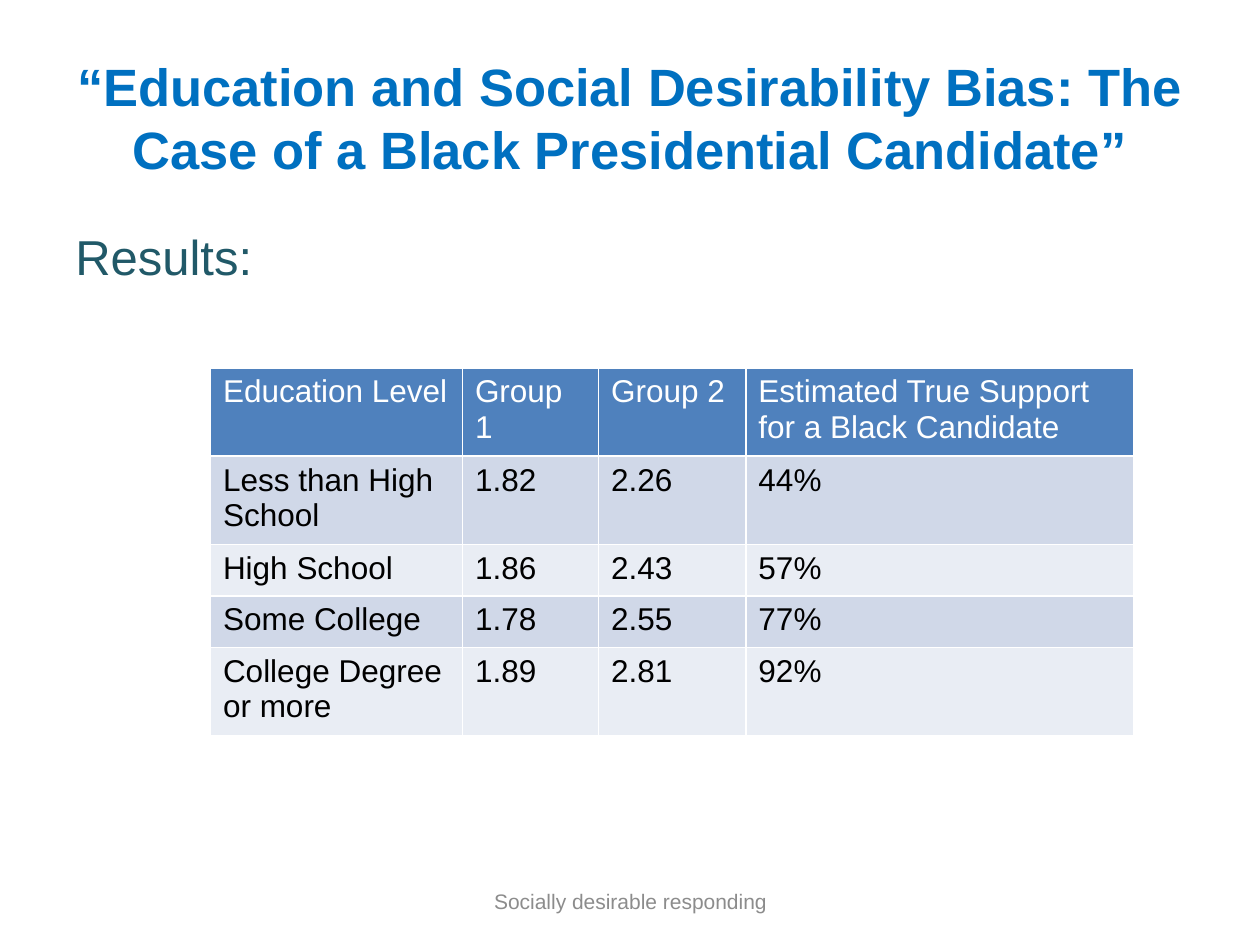
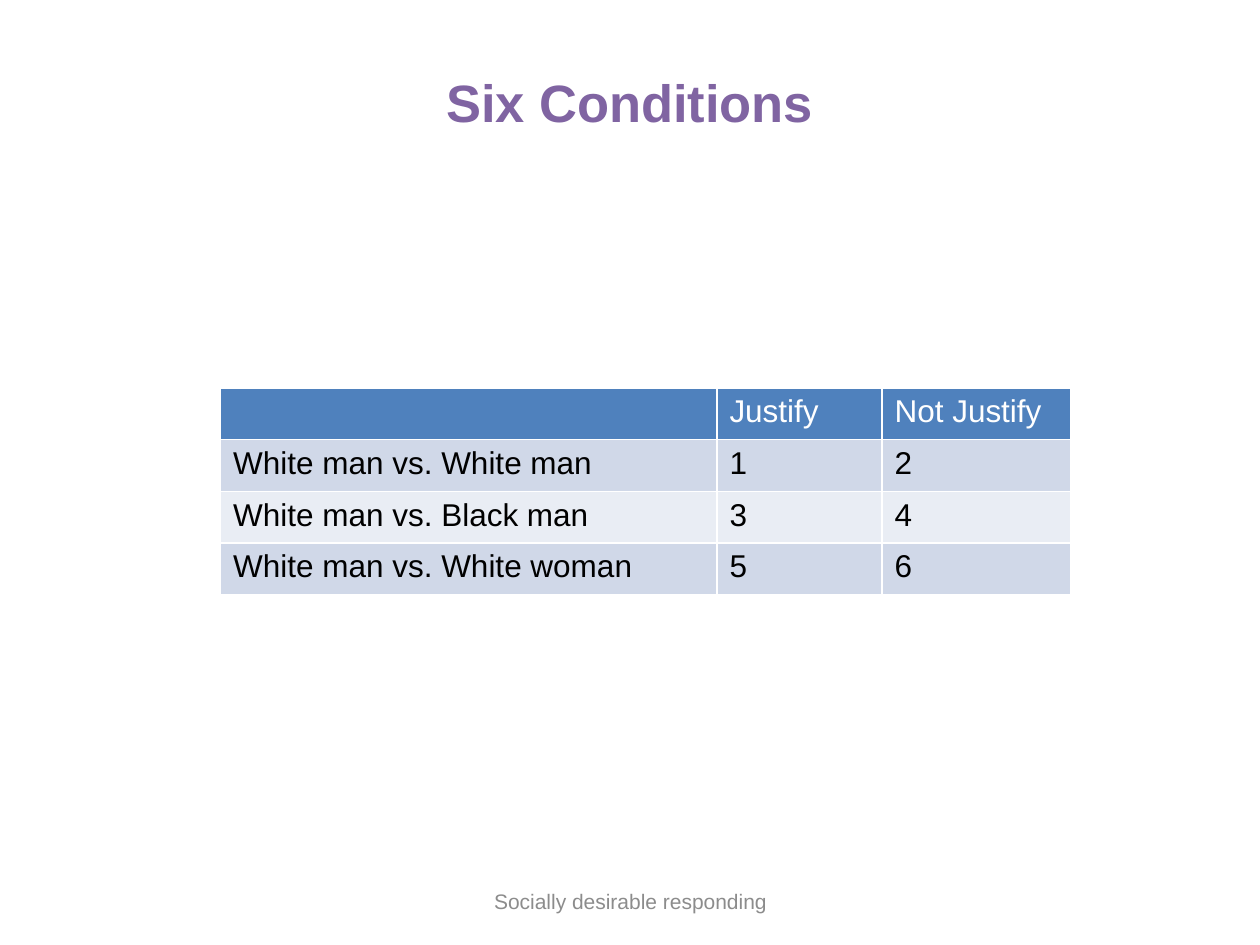
import pptx
import pptx.dml.color
import pptx.enum.text
import pptx.oxml
import pptx.oxml.ns
import pptx.util
from pptx.util import Inches

FONT = "Arial"
FOOTER = "Socially desirable responding"
COLOURS = {
    "blue": "0070C0", "purple": "8064A2", "teal": "215968", "grey": "8C8C8C",
    "header": "4F81BD", "band": "D0D8E8", "light band": "E9EDF4",
    "white": "FFFFFF", "black": "000000",
}
ONE_LINE, TWO_LINES = 0.41, 0.66

SUPPORT_ROWS = [
    ["Education Level", "Group 1", "Group 2",
     "Estimated True Support for a Black Candidate"],
    ["Less than High School", "1.82", "2.26", "44%"],
    ["High School", "1.86", "2.43", "57%"],
    ["Some College", "1.78", "2.55", "77%"],
    ["College Degree or more", "1.89", "2.81", "92%"],
]
CONDITION_ROWS = [
    ["", "Justify", "Not Justify"],
    ["White man vs. White man", "1", "2"],
    ["White man vs. Black man", "3", "4"],
    ["White man vs. White woman", "5", "6"],
]


def rgb(name):
    return pptx.dml.color.RGBColor.from_string(COLOURS[name])


def add_run(paragraph, text, size, colour, bold=False):
    run = paragraph.add_run()
    run.text = text
    run.font.name = FONT
    run.font.size = pptx.util.Pt(size)
    run.font.bold = bold
    run.font.color.rgb = rgb(colour)


def centre_text(text_frame):
    text_frame.vertical_anchor = pptx.enum.text.MSO_ANCHOR.MIDDLE
    text_frame.paragraphs[0].alignment = pptx.enum.text.PP_ALIGN.CENTER


def add_text_box(slide, left, top, width, height, text, size, colour):
    box = slide.shapes.add_textbox(
        Inches(left), Inches(top), Inches(width), Inches(height))
    box.text_frame.word_wrap = True
    add_run(box.text_frame.paragraphs[0], text, size, colour)
    return box.text_frame


def add_titled_slide(presentation, title, colour, top):
    """Add a slide with its title and the shared footer."""
    slide = presentation.slides.add_slide(presentation.slide_layouts[5])
    shape = slide.shapes.title
    shape.left, shape.top = Inches(0.5), Inches(top)
    shape.width, shape.height = Inches(9), Inches(1.25)
    shape.text_frame.auto_size = pptx.enum.text.MSO_AUTO_SIZE.NONE
    add_run(shape.text_frame.paragraphs[0], title, 30, colour, bold=True)
    centre_text(shape.text_frame)
    centre_text(add_text_box(slide, 3.42, 6.95, 3.17, 0.4, FOOTER, 12, "grey"))
    return slide


def add_cell_borders(cell):
    properties = cell._tc.get_or_add_tcPr()
    for side in ("lnL", "lnR", "lnT", "lnB"):
        properties.append(pptx.oxml.parse_xml(
            f'<a:{side} {pptx.oxml.ns.nsdecls("a")} w="12700"><a:solidFill>'
            f'<a:srgbClr val="{COLOURS["white"]}"/></a:solidFill></a:{side}>'))


def add_banded_table(slide, left, top, widths, heights, rows):
    table = slide.shapes.add_table(
        len(rows), len(widths), Inches(left), Inches(top),
        Inches(sum(widths)), Inches(sum(heights))).table
    for column, width in zip(table.columns, widths):
        column.width = Inches(width)
    for row_index, (row, height, texts) in enumerate(
            zip(table.rows, heights, rows)):
        row.height = Inches(height)
        if row_index == 0:
            fill, colour = "header", "white"
        else:
            fill, colour = ("light band", "band")[row_index % 2], "black"
        for cell, text in zip(row.cells, texts):
            add_cell_borders(cell)
            cell.fill.solid()
            cell.fill.fore_color.rgb = rgb(fill)
            if text:
                add_run(cell.text_frame.paragraphs[0], text, 18, colour)


def add_results_slide(presentation):
    slide = add_titled_slide(
        presentation, "“Education and Social Desirability Bias: "
        "The Case of a Black Presidential Candidate”", "blue", 0.3)
    results = add_text_box(slide, 0.5, 1.75, 9, 4.95, "Results:", 28, "teal")
    results.paragraphs[0].space_before = pptx.util.Pt(5.6)
    add_banded_table(
        slide, 1.67, 2.92, [2, 1.08, 1.17, 3.08],
        [TWO_LINES, TWO_LINES, ONE_LINE, ONE_LINE, TWO_LINES], SUPPORT_ROWS)


def add_conditions_slide(presentation):
    slide = add_titled_slide(presentation, "Six Conditions", "purple", 0.18)
    add_banded_table(slide, 1.75, 3.08, [3.94, 1.31, 1.5],
                     [ONE_LINE] * len(CONDITION_ROWS), CONDITION_ROWS)


def main():
    presentation = pptx.Presentation()
    presentation.slide_width = Inches(10)
    presentation.slide_height = Inches(7.5)
    add_results_slide(presentation)
    add_conditions_slide(presentation)
    presentation.save("out.pptx")


if __name__ == "__main__":
    main()
